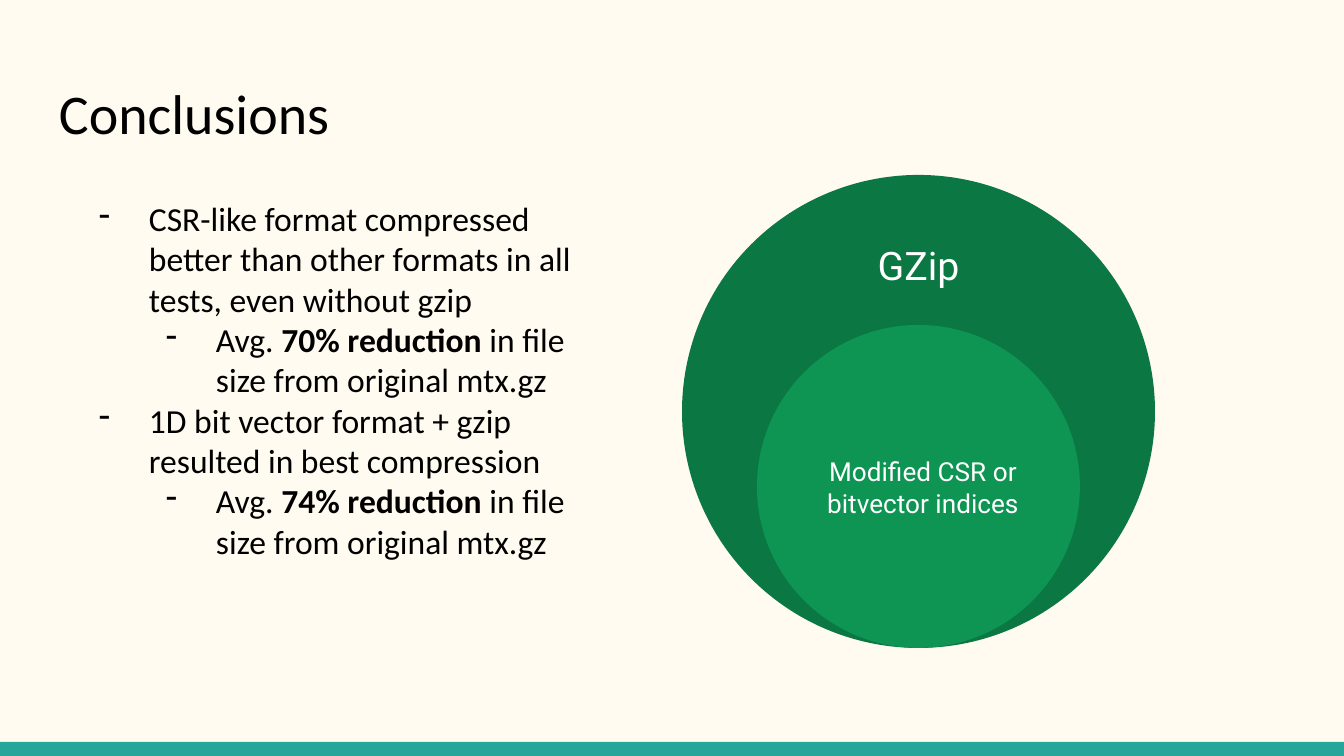
from dataclasses import dataclass

from lxml.etree import SubElement
from pptx import Presentation
from pptx.dml.color import RGBColor as RGB
from pptx.enum.shapes import MSO_SHAPE as Shape
from pptx.enum.text import MSO_ANCHOR as Anchor, MSO_AUTO_SIZE as AutoSize, PP_ALIGN as Align
from pptx.oxml.ns import qn
from pptx.util import Pt


@dataclass(frozen=True)
class Theme:
    background: RGB = RGB.from_string("FFFBF0")
    accent: RGB = RGB.from_string("26A69A")
    outer: RGB = RGB.from_string("0B7743")
    inner: RGB = RGB.from_string("0E9453")
    ink: RGB = RGB.from_string("000000")
    light: RGB = RGB.from_string("FFFFFF")
    body_font: str = "Calibri"
    diagram_font: str = "Roboto"
    title_size: int = 30
    body_size: int = 18
    outer_size: int = 21
    inner_size: int = 14


theme = Theme()
PX = 914400 / 134.4


def px(*lengths):
    return [round(length * PX) for length in lengths]


def style(paragraph, font, size, color, align):
    paragraph.font.name = font
    paragraph.font.size = Pt(size)
    paragraph.font.color.rgb = color
    paragraph.alignment = align


deck = Presentation()
deck.slide_width, deck.slide_height = px(1344, 756)
slide = deck.slides.add_slide(deck.slide_layouts[5])
slide.background.fill.solid()
slide.background.fill.fore_color.rgb = theme.background

heading = slide.shapes.title
heading.left, heading.top, heading.width, heading.height = px(46, 66, 1252, 90)
heading.text_frame.text = "Conclusions"
heading.text_frame.vertical_anchor = Anchor.TOP
heading.text_frame.auto_size = AutoSize.NONE
style(heading.text_frame.paragraphs[0], theme.body_font, theme.title_size, theme.ink, Align.LEFT)

for kind, bounds, color in [
    (Shape.RECTANGLE, (0, 742, 1344, 14), theme.accent),
    (Shape.OVAL, (682, 175, 473, 473), theme.outer),
    (Shape.OVAL, (757, 325, 323, 323), theme.inner),
]:
    area = slide.shapes.add_shape(kind, *px(*bounds))
    area.shadow.inherit = False
    area.fill.solid()
    area.fill.fore_color.rgb = color
    area.line.fill.background()

for wording, bounds, size in [
    ("GZip", (802, 210, 233, 109), theme.outer_size),
    ("Modified CSR or bitvector indices", (804, 448, 238, 78), theme.inner_size),
]:
    label = slide.shapes.add_textbox(*px(*bounds)).text_frame
    label.word_wrap = True
    label.vertical_anchor = Anchor.MIDDLE
    label.text = wording
    style(label.paragraphs[0], theme.diagram_font, size, theme.light, Align.CENTER)

findings = slide.shapes.add_textbox(*px(69, 185, 547, 444)).text_frame
findings.word_wrap = True
for frame in (heading.text_frame, findings):
    frame.margin_left, frame.margin_top, frame.margin_right, frame.margin_bottom = px(13, 13, 13, 13)

results = [
    ("CSR-like format compressed better than other formats in all tests, even without gzip", "70%"),
    ("1D bit vector format + gzip resulted in best compression", "74%"),
]
points = []
for finding, saving in results:
    points.append((0, [(finding, False)]))
    points.append((1, [
        ("Avg. ", False),
        (f"{saving} reduction", True),
        (" in file size from original mtx.gz", False),
    ]))

for index, (level, parts) in enumerate(points):
    point = findings.add_paragraph() if index else findings.paragraphs[0]
    point.level = level
    style(point, theme.body_font, theme.body_size, theme.ink, Align.LEFT)
    for wording, bold in parts:
        run = point.add_run()
        run.text = wording
        if bold:
            run.font.bold = True
    properties = point._p.get_or_add_pPr()
    margin, hanging = px(67 * (level + 1), -50)
    properties.set("marL", str(margin))
    properties.set("indent", str(hanging))
    bullet = SubElement(properties, qn("a:buChar"))
    bullet.set("char", "-")
    properties.insert(0, bullet)

deck.save("out.pptx")
